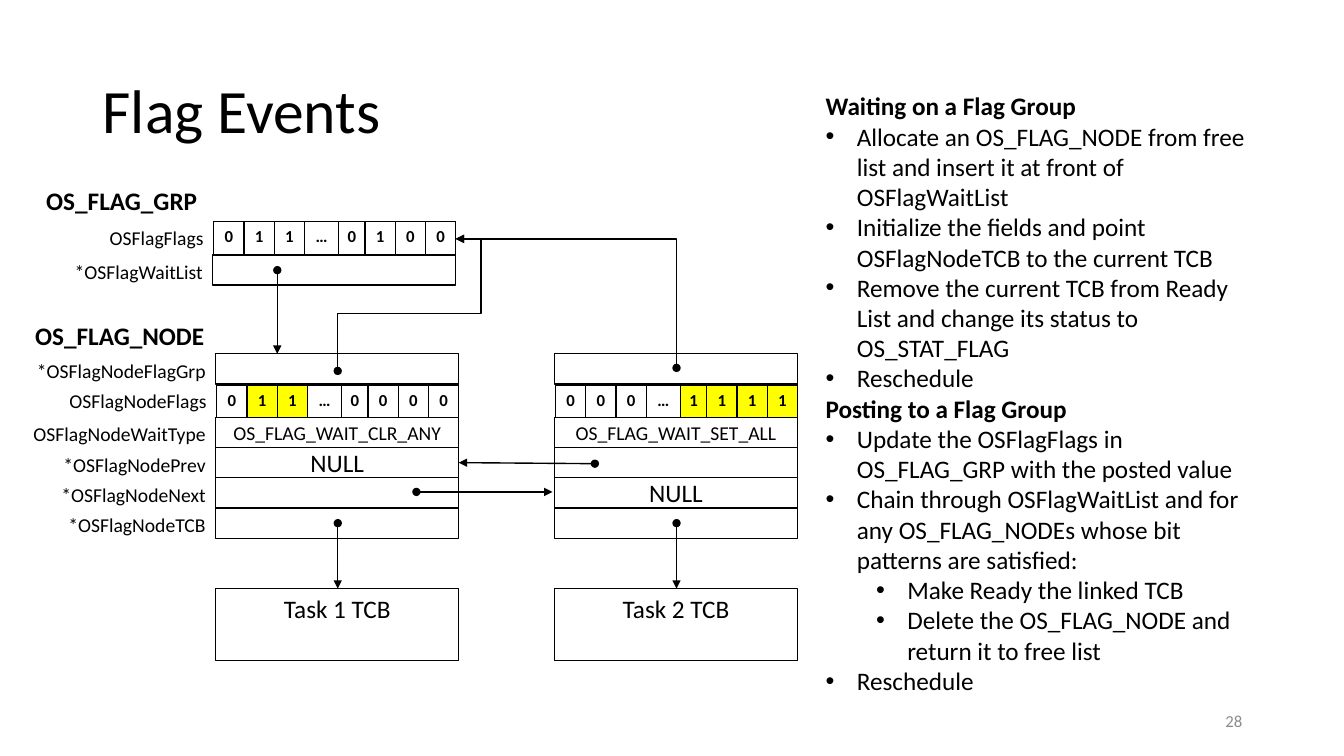
"""Build the Flag Events slide: linked flag nodes beside waiting and posting steps."""
from lxml.etree import SubElement
from pptx import Presentation
from pptx.dml.color import RGBColor
from pptx.enum.shapes import MSO_CONNECTOR, MSO_SHAPE
from pptx.enum.text import MSO_ANCHOR, PP_ALIGN
from pptx.oxml.ns import qn
from pptx.util import Emu, Pt

EMU_PER_PX = 9144
FONT, BLACK, WHITE, YELLOW, GRAY = "Calibri", "000000", "FFFFFF", "FFFF00", "8C8C8C"
LEFT, CENTER, RIGHT = PP_ALIGN.LEFT, PP_ALIGN.CENTER, PP_ALIGN.RIGHT

HEADINGS = [
    ("OS_FLAG_GRP", 36, 179, 172),
    ("OS_FLAG_NODE", 25, 313, 190),
]
BOX_WIDTH, ROW_HEIGHT, LABEL_WIDTH = 241, 30, 198
GROUP_LEFT, GROUP_ROW = 211, 253
NODE_LEFTS = [214, 550]
NODE_ROWS = [
    ("*OSFlagNodeFlagGrp", 351, ["", ""], 18),
    ("OSFlagNodeWaitType", 414, ["OS_FLAG_WAIT_CLR_ANY", "OS_FLAG_WAIT_SET_ALL"], 14),
    ("*OSFlagNodePrev", 444, ["NULL", ""], 18),
    ("*OSFlagNodeNext", 474, ["", "NULL"], 18),
    ("*OSFlagNodeTCB", 504, ["", ""], 18),
]
TASKS = ["Task 1 TCB", "Task 2 TCB"]
TASK_TOP, TASK_HEIGHT = 584, 71

LABEL_COLUMN, BIT_COLUMNS, BIT_HEIGHT = 175, [30, 30, 30, 34, 26, 30, 30, 30], 33
BIT_TABLES = [
    ("OSFlagFlags", 212, 220, "011…0100", ""),
    ("OSFlagNodeFlags", 215, 382, "011…0000", "1"),
    ("", 551, 382, "000…1111", "1"),
]

STRAIGHT_ARROWS = [
    ((275, 268), (275, 351), 0.75),
    ((335, 519), (335, 584), 0.75),
    ((671, 519), (671, 584), 0.75),
    ((590, 460), (455, 459), 1),
    ((413, 488), (548, 488), 1),
]
BENT_ARROWS = [
    ((459, 361), (328, 244), "bentConnector4", 90, [43600, 121400]),
    ((671, 365), (452, 237), "bentConnector3", 0, [100]),
]

STEPS = [
    (None, "Waiting on a Flag Group"),
    (0, "Allocate an OS_FLAG_NODE from free list and insert it at front of OSFlagWaitList"),
    (0, "Initialize the fields and point OSFlagNodeTCB to the current TCB"),
    (0, "Remove the current TCB from Ready List and change its status to OS_STAT_FLAG"),
    (0, "Reschedule"),
    (None, "Posting to a Flag Group"),
    (0, "Update the OSFlagFlags in OS_FLAG_GRP with the posted value"),
    (0, "Chain through OSFlagWaitList and for any OS_FLAG_NODEs whose bit patterns are satisfied:"),
    (1, "Make Ready the linked TCB"),
    (1, "Delete the OS_FLAG_NODE and return it to free list"),
    (0, "Reschedule"),
]
BULLET_INDENT, LEVEL_INDENT = 31, 50


def px(length):
    return Emu(round(length * EMU_PER_PX))


def color(value):
    return RGBColor.from_string(value)


def style(para, size, bold=False, align=LEFT, ink=BLACK):
    para.alignment = align
    for span in para.runs:
        font = span.font
        font.name, font.size, font.bold = FONT, Pt(size), bold
        font.color.rgb = color(ink)


def add_text(page, text, left, top, width, height, size, anchor=MSO_ANCHOR.TOP, **look):
    frame = page.shapes.add_textbox(px(left), px(top), px(width), px(height)).text_frame
    frame.word_wrap = True
    frame.vertical_anchor = anchor
    frame.text = text
    for para in frame.paragraphs:
        style(para, size, **look)
    return frame


def add_label(page, text, right, top):
    add_text(page, text, right - LABEL_WIDTH, top, LABEL_WIDTH, 34, 14, align=RIGHT)


def add_box(page, text, left, top, height=ROW_HEIGHT, size=18, fill=WHITE,
            weight=1, anchor=MSO_ANCHOR.MIDDLE):
    box = page.shapes.add_shape(MSO_SHAPE.RECTANGLE, px(left), px(top), px(BOX_WIDTH), px(height))
    box.shadow.inherit = False
    box.line.color.rgb, box.line.width = color(BLACK), Pt(weight)
    if fill:
        box.fill.solid()
        box.fill.fore_color.rgb = color(fill)
    else:
        box.fill.background()
    if text:
        box.text_frame.text = text
        box.text_frame.vertical_anchor = anchor
        style(box.text_frame.paragraphs[0], size, align=CENTER)


def set_borders(cell, drawn):
    properties = cell._tc.get_or_add_tcPr()
    for side in "LRTB":
        border = SubElement(properties, qn(f"a:ln{side}"), w=str(Pt(1)))
        if side in drawn:
            SubElement(SubElement(border, qn("a:solidFill")), qn("a:srgbClr"), val=BLACK)
        else:
            SubElement(border, qn("a:noFill"))


def add_bits(page, label, left, top, bits, highlighted):
    texts, widths = list(bits), BIT_COLUMNS
    if label:
        texts, widths, left = [label] + texts, [LABEL_COLUMN] + widths, left - LABEL_COLUMN
    table = page.shapes.add_table(1, len(texts), px(left), px(top),
                                  px(sum(widths)), px(BIT_HEIGHT)).table
    table.first_row = table.horz_banding = False
    table.rows[0].height = px(BIT_HEIGHT)
    for column, text, width in zip(table.columns, texts, widths):
        column.width = px(width)
    for cell, text in zip(table.rows[0].cells, texts):
        is_label = text == label
        cell.margin_left, cell.margin_right = 0, px(10 if is_label else 0)
        cell.margin_top, cell.margin_bottom = px(5), 0
        cell.text = text
        style(cell.text_frame.paragraphs[0], 14 if is_label else 12, not is_label,
              RIGHT if is_label else CENTER)
        set_borders(cell, "R" if is_label else "LRTB")
        if text in highlighted:
            cell.fill.solid()
            cell.fill.fore_color.rgb = color(YELLOW)
        else:
            cell.fill.background()


def add_arrow(page, start, end, weight=1, kind=MSO_CONNECTOR.STRAIGHT):
    arrow = page.shapes.add_connector(kind, *map(px, start + end))
    arrow.line.color.rgb, arrow.line.width = color(BLACK), Pt(weight)
    line = arrow.line._get_or_add_ln()
    SubElement(line, qn("a:headEnd"), type="oval")
    SubElement(line, qn("a:tailEnd"), type="triangle")
    SubElement(arrow._element.spPr, qn("a:effectLst"))
    return arrow


def add_bent_arrow(page, start, end, preset, degrees, bends):
    properties = add_arrow(page, start, end, kind=MSO_CONNECTOR.ELBOW)._element.spPr
    properties.find(qn("a:xfrm")).set("rot", str(degrees * 60000))
    geometry = properties.find(qn("a:prstGeom"))
    geometry.set("prst", preset)
    guides = geometry.find(qn("a:avLst"))
    for number, bend in enumerate(bends, 1):
        SubElement(guides, qn("a:gd"), name=f"adj{number}", fmla=f"val {bend}")


def add_steps(page):
    text = "\n".join(line for level, line in STEPS)
    frame = add_text(page, text, 809, 85, 448, 616, 18)
    for para, (level, line) in zip(frame.paragraphs, STEPS):
        if level is None:
            style(para, 18, bold=True)
            continue
        para.level = level
        properties = para._p.get_or_add_pPr()
        properties.set("marL", str(px(BULLET_INDENT + level * LEVEL_INDENT)))
        properties.set("indent", str(px(-BULLET_INDENT)))
        SubElement(properties, qn("a:buFont"), typeface="Arial")
        SubElement(properties, qn("a:buChar"), char="•")


def main():
    deck = Presentation()
    deck.slide_width, deck.slide_height = px(1333), px(750)
    page = deck.slides.add_slide(deck.slide_layouts[6])
    title = add_text(page, "Flag Events", 92, 40, 700, 145, 44, MSO_ANCHOR.MIDDLE)
    title.paragraphs[0].line_spacing = 0.9
    for text, left, top, width in HEADINGS:
        add_text(page, text, left, top, width, 40, 18, bold=True)
    for bit_table in BIT_TABLES:
        add_bits(page, *bit_table)
    add_label(page, "*OSFlagWaitList", GROUP_LEFT, GROUP_ROW)
    add_box(page, "", GROUP_LEFT, GROUP_ROW)
    for label, top, values, size in NODE_ROWS:
        add_label(page, label, NODE_LEFTS[0], top)
        for left, value in zip(NODE_LEFTS, values):
            add_box(page, value, left, top, size=size)
    for left, task in zip(NODE_LEFTS, TASKS):
        add_box(page, task, left, TASK_TOP, TASK_HEIGHT, fill=None, weight=0.75,
                anchor=MSO_ANCHOR.TOP)
    for arrow in STRAIGHT_ARROWS:
        add_arrow(page, *arrow)
    for arrow in BENT_ARROWS:
        add_bent_arrow(page, *arrow)
    add_steps(page)
    add_text(page, "28", 942, 695, 300, 40, 12, MSO_ANCHOR.MIDDLE, align=RIGHT, ink=GRAY)
    deck.save("out.pptx")


if __name__ == "__main__":
    main()
